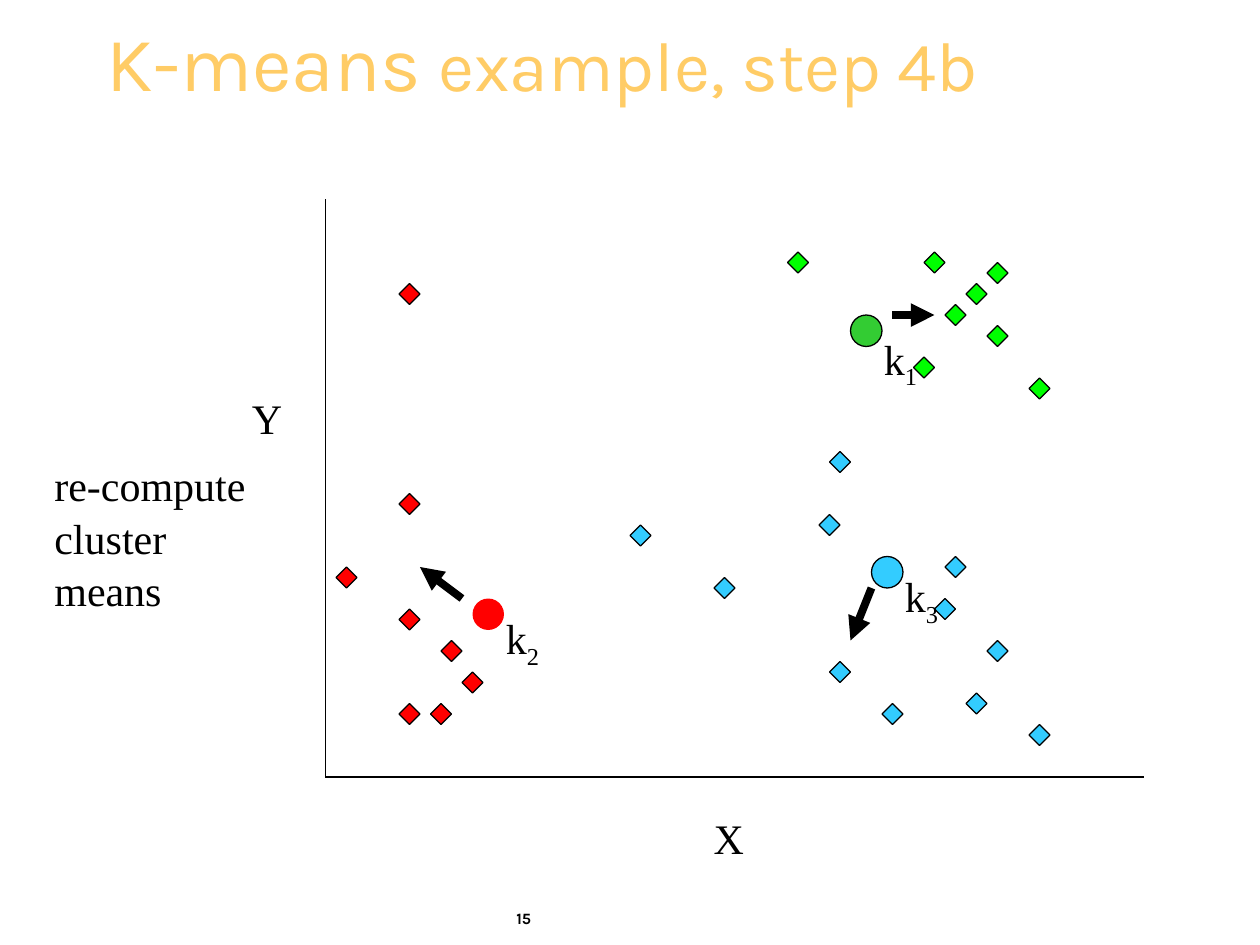
from dataclasses import dataclass
from lxml import etree
from pptx import Presentation
from pptx.dml import color
from pptx.enum import shapes, text
from pptx.oxml import ns
from pptx.util import Emu, Pt

SCALE = 7620
GRID = 10
DOT = 20
MEAN = 30


@dataclass(frozen=True)
class Theme:
    gold: str = "FFCC66"
    black: str = "000000"
    red: str = "FF0000"
    blue: str = "33CCFF"
    lime: str = "00FF00"
    green: str = "33CC33"
    sans: str = "Karla"
    serif: str = "Times New Roman"
    head: int = 44
    title: int = 40
    body: int = 24
    page: int = 9
    thin: float = 0.75
    thick: float = 4.5


THEME = Theme()

POINTS = {
    THEME.red: [(42, 61), (44, 64), (41, 67), (38, 58),
                (38, 27), (38, 47), (38, 67), (32, 54)],
    THEME.blue: [(60, 50), (79, 43), (79, 63), (84, 67), (89, 57), (78, 49),
                 (68, 55), (94, 61), (92, 66), (90, 53), (98, 69)],
    THEME.lime: [(88, 24), (94, 25), (92, 27), (90, 29),
                 (94, 31), (98, 36), (75, 24), (87, 34)],
}
MOVES = [(440, 570, 400, 540), (830, 560, 810, 610), (850, 300, 890, 300)]
AXES = [(310, 190, 310, 740), (310, 740, 1090, 740)]
MEANS = [("1", 810, 300, THEME.green, True, 67),
         ("3", 830, 530, THEME.blue, True, 60),
         ("2", 450, 570, THEME.red, False, 60)]


def px(*vals):
    return [Emu(v * SCALE) for v in vals]


def rgb(tone):
    return color.RGBColor.from_string(tone)


def assign(item, vals):
    for key, val in vals.items():
        setattr(item, key, val)


def mark(slide, kind, x, y, size, tone, edge=True):
    shape = slide.shapes.add_shape(kind, *px(x, y, size, size))
    shape.shadow.inherit = False
    shape.fill.solid()
    shape.fill.fore_color.rgb = rgb(tone)
    if edge:
        shape.line.color.rgb = rgb(THEME.black)
        shape.line.width = Pt(THEME.thin)
    else:
        shape.line.fill.background()


def line(slide, ends, width, arrow=False):
    link = slide.shapes.add_connector(shapes.MSO_CONNECTOR.STRAIGHT, *px(*ends))
    link.line.color.rgb = rgb(THEME.black)
    link.line.width = Pt(width)
    if arrow:
        stroke = link.line._get_or_add_ln()
        etree.SubElement(stroke, ns.qn("a:tailEnd"), type="triangle")
    etree.SubElement(link._element.spPr, ns.qn("a:effectLst"))


def write(slide, rect, runs, font=THEME.serif, tone=THEME.black, bold=False,
          wrap=True, middle=False, pitch=1.04):
    frame = slide.shapes.add_textbox(*px(*rect)).text_frame
    anchor = text.MSO_ANCHOR.MIDDLE if middle else text.MSO_ANCHOR.TOP
    assign(frame, {"word_wrap": wrap, "vertical_anchor": anchor})
    para = frame.paragraphs[0]
    para.line_spacing = pitch
    for words, size, base in runs:
        run = para.add_run()
        run.text = words
        assign(run.font, {"name": font, "size": Pt(size), "bold": bold})
        run.font.color.rgb = rgb(tone)
        if base:
            run._r.get_or_add_rPr().set("baseline", str(base))


def mean(slide, num, x, y, tone, edge, high):
    mark(slide, shapes.MSO_SHAPE.OVAL, x, y, MEAN, tone, edge)
    runs = [("k", THEME.body, 0), (num, THEME.body, -25000)]
    write(slide, (x + 20, y + 10, 70, high), runs, middle=True)


def main():
    deck = Presentation()
    deck.slide_width, deck.slide_height = px(1200, 900)
    slide = deck.slides.add_slide(deck.slide_layouts[6])
    write(slide, (90, 30, 1070, 70),
          [("K-means", THEME.head, 0), (" example, step 4b", THEME.title, 0)],
          THEME.sans, THEME.gold, middle=True, pitch=0.85)
    for tone, spots in POINTS.items():
        for col, row in spots:
            mark(slide, shapes.MSO_SHAPE.DIAMOND, col * GRID, row * GRID, DOT, tone)
    for ends in MOVES:
        line(slide, ends, THEME.thick, True)
    for ends in AXES:
        line(slide, ends, THEME.thin)
    for name, x, y in [("X", 668, 766), ("Y", 228, 366)]:
        write(slide, (x, y, 53, 60), [(name, THEME.body, 0)], wrap=False)
    write(slide, (40, 430, 240, 156), [("re-compute cluster means", THEME.body, 0)])
    for item in MEANS:
        mean(slide, *item)
    write(slide, (480, 860, 122, 40), [("15", THEME.page, 0)],
          THEME.sans, bold=True, pitch=1.0)
    deck.save("out.pptx")


if __name__ == "__main__":
    main()
